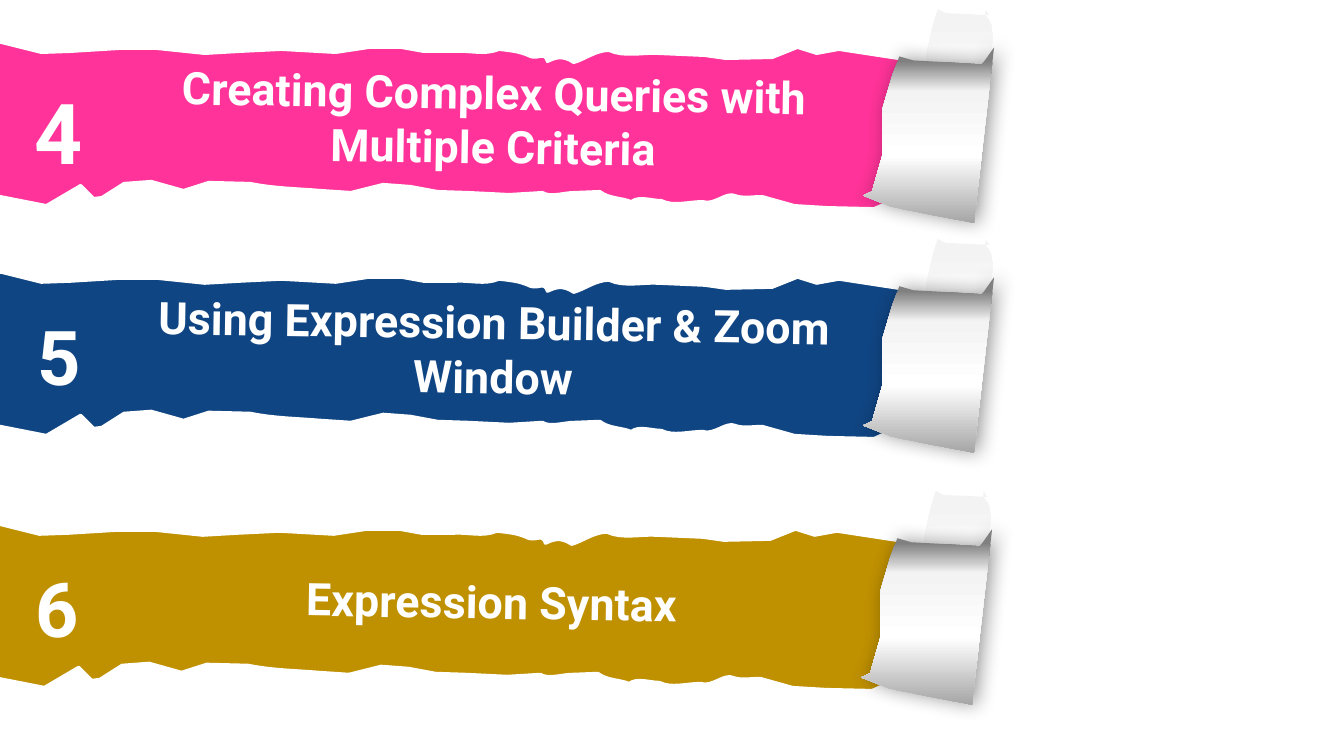
from dataclasses import dataclass

from lxml import etree
from pptx import Presentation
from pptx.dml.color import RGBColor
from pptx.enum.text import MSO_AUTO_SIZE, PP_ALIGN
from pptx.oxml.ns import qn
from pptx.shapes.autoshape import Shape
from pptx.slide import Slide
from pptx.util import Emu, Pt

EMU_PER_PX = 9144  # 100 px to the inch
CENTER = PP_ALIGN.CENTER
GROW = MSO_AUTO_SIZE.SHAPE_TO_FIT_TEXT
CURVE_STEPS = 8

Point = tuple[float, float]
Outline = list[tuple[int, ...]]  # 2 numbers: line to; 6 numbers: cubic curve to
Stops = tuple[tuple[int, str], ...]


@dataclass(frozen=True)
class Theme:
    font: str = "Roboto"
    white: str = "FFFFFF"
    pink: str = "FF3399"
    blue: str = "104583"
    gold: str = "BF9000"
    shadow: str = "000000"
    paper_back: Stops = ((8, "F3F3F3"), (62, "FFFFFF"), (100, "A6A6A6"))
    paper_front: Stops = ((8, "808080"), (25, "F3F3F3"), (62, "FFFFFF"), (100, "A6A6A6"))
    title_pt: int = 32
    number_pt: int = 54
    big_number_pt: int = 60
    edge_pt: float = 2.25


@dataclass(frozen=True)
class Strip:
    number: str
    title: str
    color: str
    dx: int
    dy: int
    number_pt: int
    number_h: int
    title_h: int


THEME = Theme()
SLIDE_W, SLIDE_H = 1333, 750
TITLE_MIDDLE = 119

STRIPS = [
    Strip("4", "Creating Complex Queries with Multiple Criteria", THEME.pink,
          0, 0, THEME.big_number_pt, 111, 118),
    Strip("5", "Using Expression Builder & Zoom Window", THEME.blue,
          0, 228, THEME.number_pt, 101, 118),
    Strip("6", "Expression Syntax", THEME.gold,
          -2, 478, THEME.number_pt, 101, 64),
]

# Outlines of the first strip; the others are shifted by dx, dy
BAND: Outline = [
    (-5, 194), (46, 204), (80, 184), (93, 197), (101, 196), (123, 182), (150, 180),
    (182, 189), (207, 181), (248, 182), (273, 187, 295, 187, 318, 189), (348, 191),
    (380, 183), (407, 185), (434, 190), (464, 191), (505, 193), (538, 191),
    (546, 196, 559, 191, 570, 191), (595, 190), (604, 197, 616, 196, 626, 200),
    (634, 194, 646, 199, 656, 199), (668, 205, 683, 200, 697, 200),
    (708, 204, 720, 190, 729, 194), (736, 197, 747, 195, 756, 195),
    (788, 204), (821, 206), (867, 207), (878, 202), (884, 189), (895, 133), (894, 98),
    (901, 66), (904, 60), (832, 49), (810, 53), (791, 47), (766, 57), (720, 58),
    (699, 55), (653, 53), (637, 52, 619, 57, 604, 50), (591, 50, 580, 59, 569, 62),
    (557, 54, 550, 58, 543, 61), (540, 51, 534, 59, 526, 56),
    (517, 52, 513, 51, 495, 49), (480, 55, 467, 50, 452, 51),
    (420, 51), (398, 47), (366, 47), (333, 52), (279, 49), (238, 51), (203, 53),
    (155, 48), (119, 48), (70, 51), (41, 52), (1, 42), (-18, 43), (-10, 84), (-17, 162),
]
CURL_BACK: Outline = [
    (906, 122), (923, 131), (948, 137), (974, 144), (978, 108, 984, 59, 985, 37),
    (985, 14, 974, 19, 978, 10), (981, 15), (961, 14), (938, 13), (930, 9), (925, 25),
    (919, 53), (918, 90), (912, 119),
]
CURL_FRONT: Outline = [
    (856, 194), (884, 205), (923, 213), (966, 221), (981, 90), (986, 47), (974, 64),
    (943, 62), (906, 60), (892, 56), (885, 75), (875, 109), (875, 155), (865, 190),
]


def px(n: float) -> Emu:
    return Emu(round(n * EMU_PER_PX))


def rgb(color: str) -> RGBColor:
    return RGBColor.from_string(color)


def flatten(outline: Outline) -> list[Point]:
    """Turn lines and cubic curves into a list of points."""
    points: list[Point] = []
    for seg in outline:
        if len(seg) == 2:
            points.append((seg[0], seg[1]))
            continue
        x0, y0 = points[-1]
        x1, y1, x2, y2, x3, y3 = seg
        for i in range(1, CURVE_STEPS + 1):
            t = i / CURVE_STEPS
            u = 1 - t
            a, b, c, d = u**3, 3 * u * u * t, 3 * u * t * t, t**3
            points.append((a * x0 + b * x1 + c * x2 + d * x3,
                           a * y0 + b * y1 + c * y2 + d * y3))
    return points


def add_outline(slide: Slide, outline: Outline, strip: Strip) -> Shape:
    points = [(px(x + strip.dx), px(y + strip.dy)) for x, y in flatten(outline)]
    fb = slide.shapes.build_freeform(*points[0], scale=1.0)
    fb.add_line_segments(points[1:], close=True)
    sp = fb.convert_to_shape()
    sp.shadow.inherit = False
    return sp


def add_color(parent: etree._Element, color: str) -> etree._Element:
    return etree.SubElement(parent, qn("a:srgbClr"), val=color)


def fill_gradient(sp: Shape, stops: Stops) -> None:
    sp.line.fill.background()
    sp.fill.gradient()
    sp.fill.gradient_angle = 270  # top to bottom
    gs_list = sp.element.spPr.find(".//" + qn("a:gsLst"))
    for gs in list(gs_list):
        gs_list.remove(gs)
    for pos, color in stops:
        add_color(etree.SubElement(gs_list, qn("a:gs"), pos=str(pos * 1000)), color)


def add_shadow(sp: Shape, blur: int, dist: int, alpha: int) -> None:
    effects = sp.element.spPr.find(qn("a:effectLst"))
    shadow = etree.SubElement(effects, qn("a:outerShdw"), blurRad=str(Pt(blur)),
                              dist=str(Pt(dist)), dir="0", algn="l", rotWithShape="0")
    clr = add_color(shadow, THEME.shadow)
    etree.SubElement(clr, qn("a:alpha"), val=str(alpha * 1000))


def add_text(slide: Slide, text: str, *, x: int, y: int, w: int, h: int,
             size: int, rotation: int = 0) -> None:
    sp = slide.shapes.add_textbox(px(x), px(y), px(w), px(h))
    sp.rotation = rotation
    tf = sp.text_frame
    tf.word_wrap = True
    tf.auto_size = GROW
    p = tf.paragraphs[0]
    p.alignment = CENTER
    r = p.add_run()
    r.text = text
    r.font.name = THEME.font
    r.font.size = Pt(size)
    r.font.bold = True
    r.font.color.rgb = rgb(THEME.white)


def add_strip(slide: Slide, strip: Strip) -> None:
    # Torn coloured band
    band = add_outline(slide, BAND, strip)
    band.fill.solid()
    band.fill.fore_color.rgb = rgb(strip.color)
    band.line.color.rgb = rgb(THEME.white)
    band.line.width = Pt(THEME.edge_pt)

    # Rolled paper end
    fill_gradient(add_outline(slide, CURL_BACK, strip), THEME.paper_back)
    front = add_outline(slide, CURL_FRONT, strip)
    fill_gradient(front, THEME.paper_front)
    add_shadow(front, blur=14, dist=3, alpha=40)

    # Number and title
    add_text(slide, strip.number, x=23 + strip.dx, y=75 + strip.dy, w=71,
             h=strip.number_h, size=strip.number_pt)
    add_text(slide, strip.title, x=124 + strip.dx,
             y=TITLE_MIDDLE + strip.dy - strip.title_h // 2, w=731,
             h=strip.title_h, size=THEME.title_pt, rotation=1)


def main() -> None:
    prs = Presentation()
    prs.slide_width, prs.slide_height = px(SLIDE_W), px(SLIDE_H)
    slide = prs.slides.add_slide(prs.slide_layouts[6])
    for strip in STRIPS:
        add_strip(slide, strip)
    prs.save("out.pptx")


if __name__ == "__main__":
    main()
